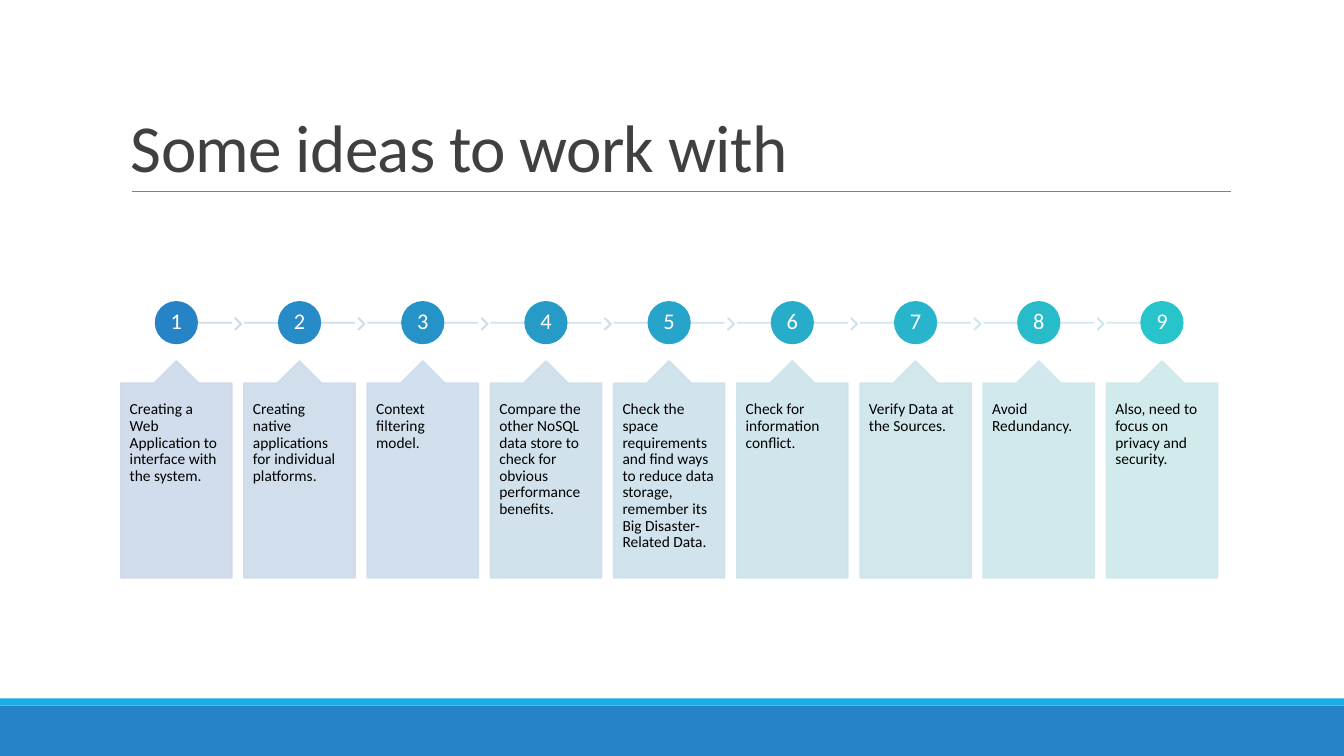
import pptx
import pptx.dml.color
import pptx.enum.shapes
import pptx.enum.text
import pptx.oxml.ns
import pptx.util
from lxml import etree

Pt = pptx.util.Pt
SHAPE = pptx.enum.shapes.MSO_SHAPE
ANCHOR = pptx.enum.text.MSO_ANCHOR
ALIGN = pptx.enum.text.PP_ALIGN
qn = pptx.oxml.ns.qn


def paint(fill, color, opacity=100):
    fill.solid()
    fill.fore_color.rgb = pptx.dml.color.RGBColor.from_string(color)
    if opacity < 100:
        for element in fill._xPr.iter(qn("a:srgbClr")):
            if element.getparent().getparent() is fill._xPr:
                etree.SubElement(element, qn("a:alpha"), val=str(opacity * 1000))


def write(shape, text, size, color, anchor, align, spacing, margins):
    frame = shape.text_frame
    frame.word_wrap = True
    frame.vertical_anchor = anchor
    frame.margin_left = frame.margin_right = Pt(margins[0])
    frame.margin_top = frame.margin_bottom = Pt(margins[1])
    paragraph = frame.paragraphs[0]
    paragraph.alignment = align
    paragraph.line_spacing = spacing
    run = paragraph.add_run()
    run.text = text
    run.font.size = Pt(size)
    run.font.name = "Calibri"
    paint(run.font.fill, color)
    return run


presentation = pptx.Presentation()
presentation.slide_width = Pt(960)
presentation.slide_height = Pt(540)
slide = presentation.slides.add_slide(presentation.slide_layouts[6])
shapes = slide.shapes

for top, height, color in [(504, 36, "2683C6"), (498.8, 5.2, "1CADE4")]:
    bar = shapes.add_shape(SHAPE.RECTANGLE, 0, Pt(top), Pt(960), Pt(height))
    bar.shadow.inherit = False
    paint(bar.fill, color)
    bar.line.fill.background()

title = shapes.add_textbox(Pt(86.4), Pt(22.6), Pt(792), Pt(114.2))
title_run = write(title, "Some ideas to work with", 48, "404040",
                  ANCHOR.BOTTOM, ALIGN.LEFT, 0.85, (7.2, 3.6))
title_run.font._element.set("spc", "-50")

ideas = [
    "Creating a Web Application to interface with the system.",
    "Creating native applications for individual platforms.",
    "Context filtering model.",
    "Compare the other NoSQL data store to check for obvious performance benefits.",
    "Check the space requirements and find ways to reduce data storage, "
    "remember its Big Disaster-Related Data.",
    "Check for information conflict.",
    "Verify Data at the Sources.",
    "Avoid Redundancy.",
    "Also, need to focus on privacy and security.",
]
column_left, column_pitch, column_width = 86.4, 88, 79.2
track_y, circle_size = 230.5, 29.6
last = len(ideas) - 1

lines = [(94.3, 879.1, 136.6, "808080", 0.5, 100)]
for index in range(len(ideas)):
    left = column_left + column_pitch * index
    center = left + column_width / 2
    start = center if index == 0 else left
    end = center if index == last else left + column_width
    lines.append((start, end, track_y, f"CD{0xD9 + 2 * index:02X}EB", 1.25, 90))

for start, end, y, color, width, opacity in lines:
    line = shapes.add_connector(pptx.enum.shapes.MSO_CONNECTOR.STRAIGHT,
                                Pt(start), Pt(y), Pt(end), Pt(y))
    line.line.width = Pt(width)
    paint(line.line.fill, color, opacity)
    etree.SubElement(line._element.spPr, qn("a:effectLst"))

for index, idea in enumerate(ideas):
    left = column_left + column_pitch * index
    circle_left = left + (column_width - circle_size) / 2
    share = index / last
    strong = "".join(f"{round(a + (b - a) * share):02X}"
                     for a, b in [(0x26, 0x28), (0x83, 0xC4), (0xC6, 0xCC)])
    pale = f"CD{0xD9 + 2 * index:02X}EB"

    circle = shapes.add_shape(SHAPE.OVAL, Pt(circle_left), Pt(track_y - circle_size / 2),
                              Pt(circle_size), Pt(circle_size))
    write(circle, str(index + 1), 16, "FFFFFF", ANCHOR.MIDDLE, ALIGN.CENTER, 0.9, (1.5, 1.5))

    callout = shapes.add_shape(SHAPE.UP_ARROW_CALLOUT, Pt(left), Pt(257.9),
                               Pt(column_width), Pt(154.8))
    for position, value in enumerate([0.5, 0.2, 0.2, 1]):
        callout.adjustments[position] = value
    write(callout, idea, 11, "000000", ANCHOR.TOP, ALIGN.LEFT, 0.9, (6.3, 13))

    parts = [(circle, strong, 100), (callout, pale, 90)]
    if index < last:
        chevron = shapes.add_shape(SHAPE.CHEVRON, Pt(left + 81.5), Pt(227.4), Pt(4.5), Pt(8))
        chevron.adjustments[0] = 0.9
        parts.append((chevron, pale, 90))

    for shape, color, opacity in parts:
        shape.shadow.inherit = False
        shape.line.width = Pt(1.25)
        paint(shape.fill, color, opacity)
        paint(shape.line.fill, color, opacity)

presentation.save("out.pptx")
